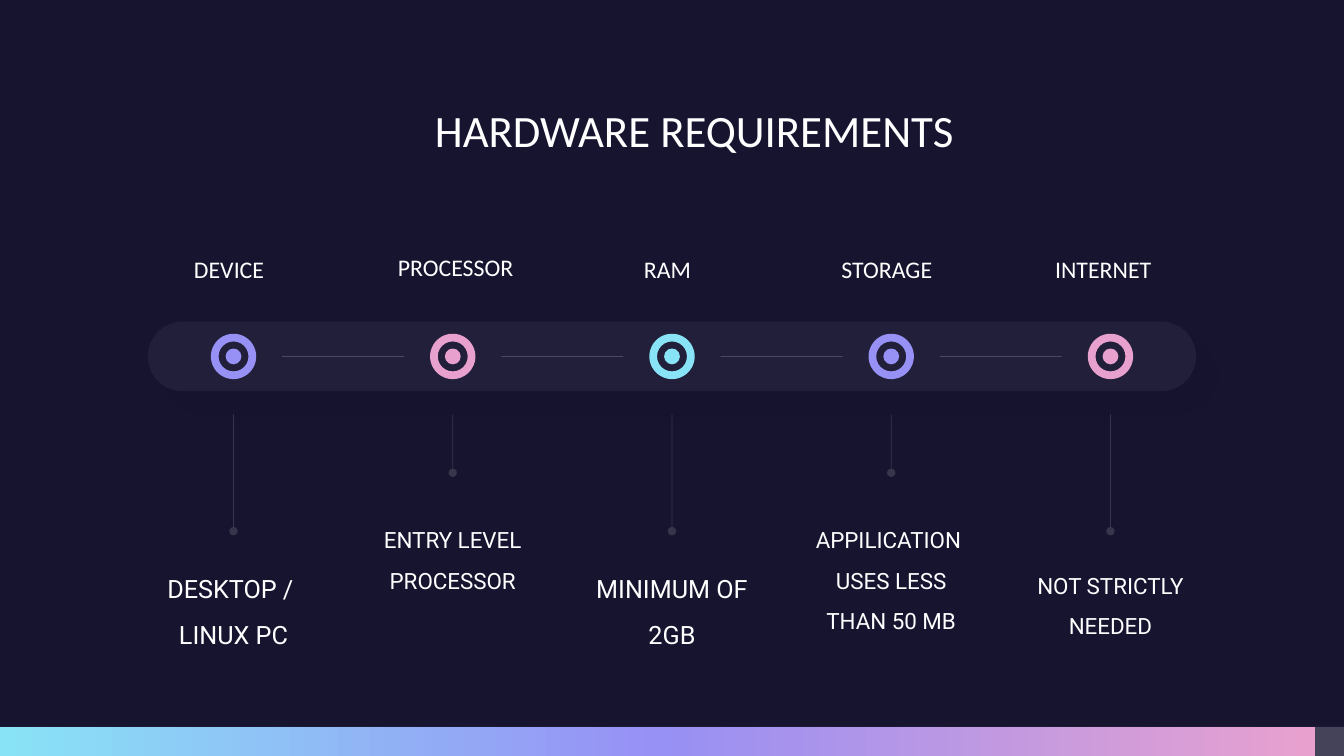
"""Build the hardware requirements timeline slide."""
import copy
import dataclasses

import lxml.etree
import pptx
import pptx.dml.color
import pptx.enum.shapes
import pptx.enum.text
import pptx.oxml.ns
import pptx.util

Pt = pptx.util.Pt
RGB = pptx.dml.color.RGBColor.from_string
SHAPE = pptx.enum.shapes.MSO_SHAPE
ANCHOR = pptx.enum.text.MSO_ANCHOR
FIT = pptx.enum.text.MSO_AUTO_SIZE
qn = pptx.oxml.ns.qn


@dataclasses.dataclass(frozen=True)
class Theme:
    """Colours, fonts and type sizes of the slide."""
    background: str = "171430"
    white: str = "FFFFFF"
    rule: str = "F2F2F2"
    shadow: str = "000000"
    violet: str = "9790F5"
    pink: str = "E8A1CF"
    cyan: str = "89E3F6"
    heading_font: str = "Calibri"
    detail_font: str = "Roboto"
    title_size: int = 32
    label_size: int = 17
    large_detail: int = 18
    small_detail: int = 16


THEME = Theme()
SLIDE_WIDTH, SLIDE_HEIGHT = 960, 540
MIDDLE, PITCH, TRACK_Y = 480, 156.6, 254.6
LABEL_SHIFT, LABEL_TOP = -3.2, 178
HIGH_DETAIL, LOW_DETAIL = 362.9, 395.3
SHORT_STEM, LONG_STEM = 337.7, 379.4

REQUIREMENTS = [
    ("DEVICE", THEME.violet, LONG_STEM, LOW_DETAIL, THEME.large_detail,
     ["DESKTOP / ", "LINUX PC"], {}),
    ("PROCESSOR", THEME.pink, SHORT_STEM, HIGH_DETAIL, THEME.small_detail,
     ["ENTRY LEVEL", "PROCESSOR"], {"shift": 2, "top": 176.5, "width": 121}),
    ("RAM", THEME.cyan, LONG_STEM, LOW_DETAIL, THEME.large_detail,
     ["MINIMUM OF 2GB"], {}),
    ("STORAGE", THEME.violet, SHORT_STEM, HIGH_DETAIL, THEME.small_detail,
     ["APPILICATION ", "USES LESS THAN 50 MB"], {}),
    ("INTERNET ", THEME.pink, LONG_STEM, LOW_DETAIL, THEME.small_detail,
     ["NOT STRICTLY NEEDED"], {}),
]


def apply(target, formats):
    """Set each attribute in formats on target."""
    for name, value in formats.items():
        setattr(target, name, value)


def fade(shape, opacity):
    """Give the solid colour of a shape or connector an opacity in percent."""
    colour = shape._element.spPr.find(".//" + qn("a:srgbClr"))
    lxml.etree.SubElement(colour, qn("a:alpha"), val=str(opacity * 1000))


def write(shape, lines, font, size, spacing=1.0, **frame_formats):
    """Fill a text frame with centred white paragraphs."""
    frame = shape.text_frame
    apply(frame, {"word_wrap": True, "margin_left": 0, "margin_right": 0,
                  "margin_top": Pt(3.6), "margin_bottom": Pt(3.6),
                  **frame_formats})
    frame.text = "\n".join(lines)
    for paragraph in frame.paragraphs:
        apply(paragraph, {"alignment": pptx.enum.text.PP_ALIGN.CENTER,
                          "line_spacing": spacing})
        apply(paragraph.font, {"name": font, "size": Pt(size)})
        paragraph.font.color.rgb = RGB(THEME.white)


def add_text(slide, centre, top, width, height, lines, font, size, **formats):
    """Add a text box centred on an x position."""
    box = slide.shapes.add_textbox(
        Pt(centre - width / 2), Pt(top), Pt(width), Pt(height))
    write(box, lines, font, size, auto_size=FIT.SHAPE_TO_FIT_TEXT, **formats)


def add_block(shapes, kind, left, top, width, height, colour):
    """Add a flat preset shape without outline or shadow."""
    block = shapes.add_shape(kind, Pt(left), Pt(top), Pt(width), Pt(height))
    block.shadow.inherit = False
    block.fill.solid()
    block.fill.fore_color.rgb = RGB(colour)
    block.line.fill.background()
    return block


def add_rule(slide, start, end, opacity, dotted_end=False):
    """Add a thin translucent line, optionally ending in a dot."""
    rule = slide.shapes.add_connector(
        pptx.enum.shapes.MSO_CONNECTOR.STRAIGHT, *map(Pt, start + end))
    rule.line.width = Pt(0.5)
    rule.line.color.rgb = RGB(THEME.rule)
    fade(rule, opacity)
    if dotted_end:
        lxml.etree.SubElement(rule.line._get_or_add_ln(), qn("a:tailEnd"),
                              type="oval")
    lxml.etree.SubElement(rule._element.spPr, qn("a:effectLst"))


def add_track(slide):
    """Add the rounded translucent track with its soft shadow."""
    width, height = 748.8, 49.6
    track = add_block(slide.shapes, SHAPE.ROUNDED_RECTANGLE,
                      MIDDLE - width / 2, TRACK_Y - height / 2,
                      width, height, THEME.white)
    track.adjustments[0] = 0.5
    fade(track, 5)
    effects = track._element.spPr.find(qn("a:effectLst"))
    shadow = lxml.etree.SubElement(
        effects, qn("a:outerShdw"), blurRad=str(Pt(32)), dist=str(Pt(18)),
        dir=str(45 * 60000), algn="tl", rotWithShape="0")
    colour = lxml.etree.SubElement(shadow, qn("a:srgbClr"), val=THEME.shadow)
    lxml.etree.SubElement(colour, qn("a:alpha"), val="10000")


def add_node(slide, centre, colour):
    """Add a grouped ring and dot on the track."""
    node = slide.shapes.add_group_shape()
    for kind, size in ((SHAPE.DONUT, 32.4), (SHAPE.OVAL, 11.3)):
        part = add_block(node.shapes, kind, centre - size / 2,
                         TRACK_Y - size / 2, size, size, colour)
        if kind == SHAPE.DONUT:
            part.adjustments[0] = 0.17


def add_footer(slide):
    """Add the footer strip and the gradient band over it."""
    height = 20.7
    top = SLIDE_HEIGHT - height
    strip = add_block(slide.shapes, SHAPE.RECTANGLE, 0, top, SLIDE_WIDTH,
                      height, THEME.white)
    fade(strip, 20)
    band = add_block(slide.shapes, SHAPE.RECTANGLE, 0, top, 939.6, height,
                     THEME.violet)
    band.fill.gradient()
    band.fill.gradient_angle = 180
    stops = band._element.spPr.find(".//" + qn("a:gsLst"))
    stops.append(copy.deepcopy(stops[0]))
    colours = (THEME.pink, THEME.violet, THEME.cyan)
    for index, (stop, colour) in enumerate(
            zip(band.fill.gradient_stops, colours)):
        stop.position = index / 2
        stop.color.rgb = RGB(colour)


def add_title(slide, text):
    """Place and format the title placeholder."""
    title = slide.shapes.title
    apply(title, {"left": Pt(218.2), "top": Pt(39.6),
                  "width": Pt(555.8), "height": Pt(75.6)})
    write(title, [text], THEME.heading_font, THEME.title_size,
          vertical_anchor=ANCHOR.BOTTOM, auto_size=FIT.NONE)


def main():
    """Build and save the slide."""
    deck = pptx.Presentation()
    apply(deck, {"slide_width": Pt(SLIDE_WIDTH),
                 "slide_height": Pt(SLIDE_HEIGHT)})
    slide = deck.slides.add_slide(deck.slide_layouts[5])
    slide.background.fill.solid()
    slide.background.fill.fore_color.rgb = RGB(THEME.background)
    add_title(slide, "HARDWARE REQUIREMENTS")
    add_track(slide)
    link_gap = 34.8
    for index, requirement in enumerate(REQUIREMENTS):
        label, colour, stem_end, detail_top, size, detail, place = requirement
        centre = MIDDLE + (index - 2) * PITCH
        add_node(slide, centre, colour)
        if index < len(REQUIREMENTS) - 1:
            add_rule(slide, (centre + link_gap, TRACK_Y),
                     (centre + PITCH - link_gap, TRACK_Y), 20)
        add_rule(slide, (centre, 296), (centre, stem_end), 15, True)
        add_text(slide, centre + place.get("shift", LABEL_SHIFT),
                 place.get("top", LABEL_TOP), place.get("width", 101.5), 28,
                 [label], THEME.heading_font, THEME.label_size,
                 vertical_anchor=ANCHOR.BOTTOM)
        add_text(slide, centre, detail_top, 117.4, 61.2, detail,
                 THEME.detail_font, size, spacing=1.5)
    add_footer(slide)
    deck.save("out.pptx")


if __name__ == "__main__":
    main()
